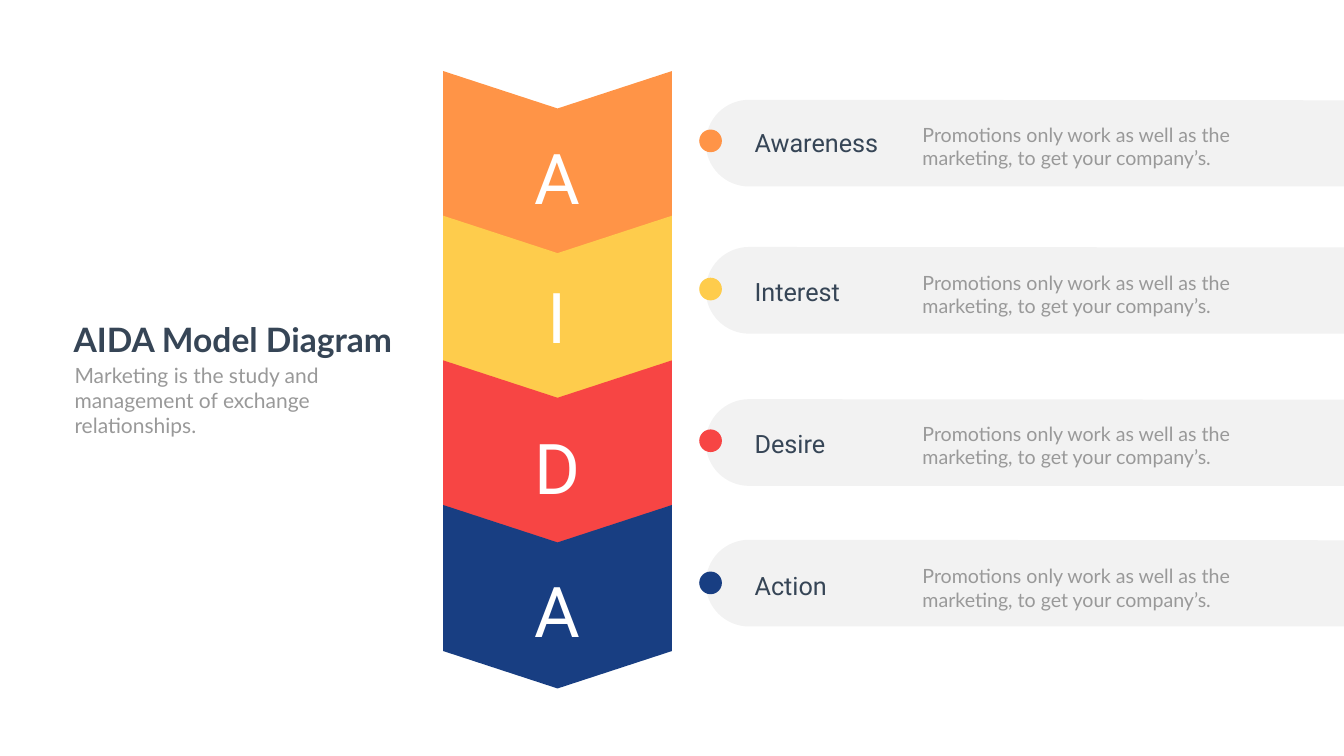
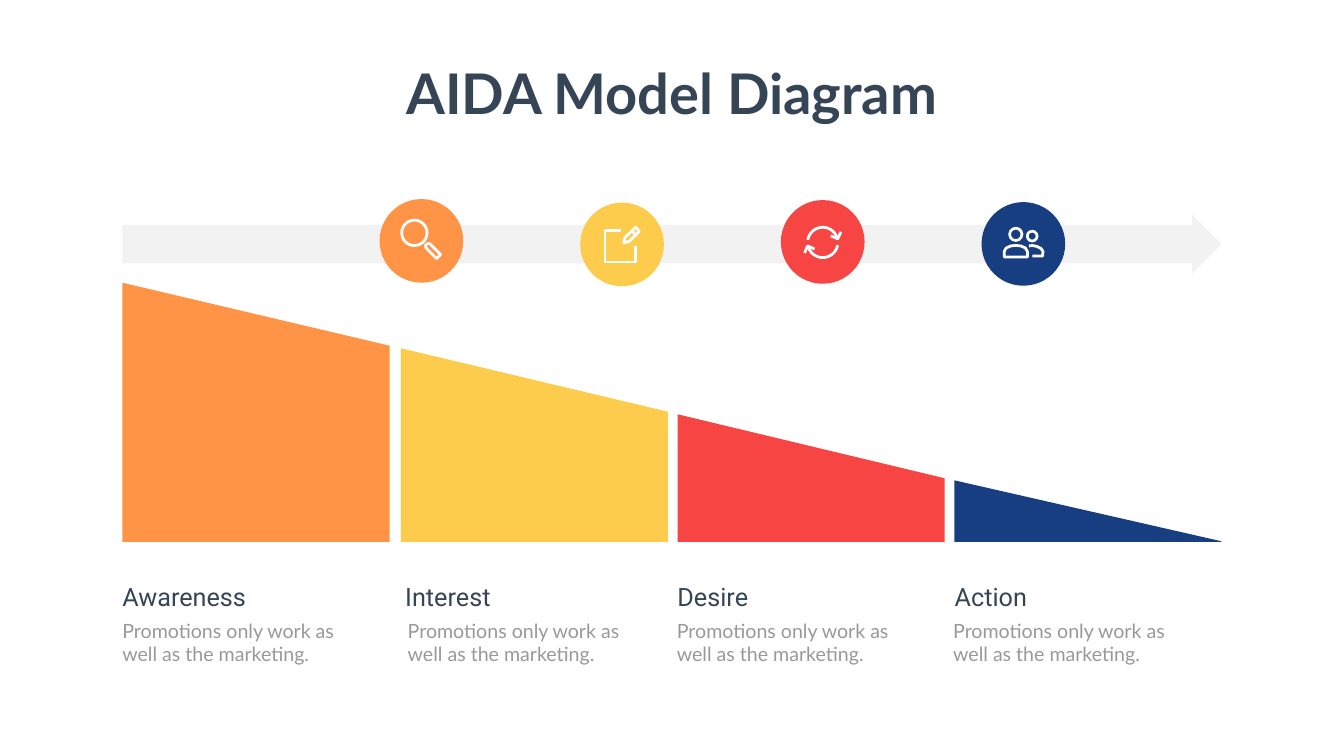
import math

from lxml import etree
from pptx import Presentation
from pptx.dml.color import RGBColor
from pptx.enum.shapes import MSO_SHAPE
from pptx.enum.text import MSO_AUTO_SIZE, PP_ALIGN
from pptx.oxml.ns import qn
from pptx.util import Cm, Pt

CHEVRON = MSO_SHAPE.CHEVRON
DONUT = MSO_SHAPE.DONUT
OVAL = MSO_SHAPE.OVAL
RIGHT_ARROW = MSO_SHAPE.RIGHT_ARROW
LEFT, CENTER = PP_ALIGN.LEFT, PP_ALIGN.CENTER
FIT_SHAPE = MSO_AUTO_SIZE.SHAPE_TO_FIT_TEXT

COLORS = {
    "awareness": "FF9447",
    "interest": "FECC4C",
    "desire": "F74544",
    "action": "183E82",
    "heading": "364556",
    "body": "999999",
    "band": "808080",
    "white": "FFFFFF",
}
STAGES = ["Awareness", "Interest", "Desire", "Action"]
TITLE = "AIDA Model Diagram"
SLIDE_WIDTH, SLIDE_HEIGHT = 26.66, 15
ICON_STROKE = 0.055


def inch(value):
    """Length on the slide's inch grid."""
    return Cm(value * 2.54)


def rgb(name):
    return RGBColor.from_string(COLORS[name])


def paint(shape, color, alpha=None):
    """Flat fill without outline or shadow; alpha is a percentage."""
    shape.shadow.inherit = False
    shape.line.fill.background()
    shape.fill.solid()
    shape.fill.fore_color.rgb = rgb(color)
    if alpha is not None:
        solid = shape._element.spPr.find(qn("a:solidFill"))
        etree.SubElement(solid[0], qn("a:alpha"), val=str(alpha * 1000))


def add_preset(shapes, kind, box, color, adjustments=(), alpha=None):
    shape = shapes.add_shape(kind, *map(inch, box))
    for index, value in enumerate(adjustments):
        shape.adjustments[index] = value
    paint(shape, color, alpha)
    return shape


def add_outline(shapes, points, close=True):
    vertices = [(inch(x), inch(y)) for x, y in points]
    builder = shapes.build_freeform(*vertices[0])
    builder.add_line_segments(vertices[1:], close=close)
    return builder.convert_to_shape()


def add_stroke(shapes, points, close=False):
    """White, unfilled icon line."""
    stroke = add_outline(shapes, points, close)
    stroke.shadow.inherit = False
    stroke.fill.background()
    stroke.line.color.rgb = rgb("white")
    stroke.line.width = inch(ICON_STROKE)


def add_ring(shapes, x, y, size):
    add_preset(shapes, DONUT, (x, y, size, size), "white", [ICON_STROKE / size])


def arc(cx, cy, radius, start, end, steps=32):
    """Points along a circle, angles in degrees clockwise from the right."""
    angles = [math.radians(start + (end - start) * i / steps)
              for i in range(steps + 1)]
    return [(cx + radius * math.cos(a), cy + radius * math.sin(a)) for a in angles]


def add_text(shapes, text, box, size, color, font="Lato", align=LEFT,
             bold=False, wrap=True):
    frame = shapes.add_textbox(*map(inch, box)).text_frame
    frame.word_wrap = wrap
    frame.auto_size = FIT_SHAPE
    paragraph = frame.paragraphs[0]
    paragraph.text = text
    paragraph.alignment = align
    paragraph.font.name = font
    paragraph.font.size = Pt(size)
    paragraph.font.bold = bold
    paragraph.font.color.rgb = rgb(color)


def add_title(shapes, box, size, **options):
    add_text(shapes, TITLE, box, size, "heading", bold=True, **options)


def add_stage_label(shapes, stage, x, y):
    add_text(shapes, stage, (x, y, 3.46, 0.71), 36, "heading", "Roboto")


def add_description(shapes, text, x, y, width):
    add_text(shapes, text, (x, y, width, 1.04), 28, "body")


def add_pill(shapes, top):
    """Band that is round on the left and runs off the right edge."""
    radius = 0.86
    cap = arc(14 + radius, top + radius, radius, 90, 270)
    right = SLIDE_WIDTH
    pill = add_outline(shapes, cap + [(right, top + 0.01), (right, top + 2 * radius)])
    paint(pill, "band", alpha=10)


def draw_magnifier(shapes):
    add_stroke(shapes, [(8.45, 4.92), (8.66, 5.13), (8.74, 5.05), (8.53, 4.84),
                        (8.5, 4.83), (8.47, 4.84), (8.44, 4.87)], close=True)
    add_ring(shapes, 7.94, 4.34, 0.56)


def draw_note(shapes):
    add_stroke(shapes, [(12.61, 4.88), (12.61, 5.2), (12, 5.2),
                        (12, 4.58), (12.31, 4.58)])
    add_stroke(shapes, [(12.61, 4.51), (12.68, 4.59), (12.48, 4.79),
                        (12.37, 4.82), (12.4, 4.71)], close=True)
    add_stroke(shapes, [(12.55, 4.6), (12.59, 4.64)])


def draw_cycle(shapes):
    cx, cy = 16.32, 4.81
    upper = arc(cx, cy, 0.3, 190, 338)
    arrowhead = [(16.48, 4.68), (16.62, 4.74), (16.68, 4.6)]
    for points in (upper, arrowhead):
        add_stroke(shapes, points)
        add_stroke(shapes, [(2 * cx - x, 2 * cy - y) for x, y in points])


def draw_people(shapes):
    add_ring(shapes, 20, 4.5, 0.3)
    add_stroke(shapes, [(19.92, 5.1), (19.92, 4.99), (19.96, 4.92), (20.05, 4.88),
                        (20.15, 4.87), (20.25, 4.88), (20.34, 4.92),
                        (20.38, 4.99), (20.38, 5.1)], close=True)
    add_ring(shapes, 20.35, 4.56, 0.25)
    add_stroke(shapes, [(20.41, 4.88), (20.48, 4.87), (20.57, 4.89), (20.65, 4.93),
                        (20.69, 4.99), (20.68, 5.08), (20.48, 5.08)])


def add_badge(shapes, x, y, color, draw_icon):
    badge = shapes.add_group_shape().shapes
    add_preset(badge, OVAL, (x, y, 1.66, 1.66), color)
    draw_icon(badge)


def build_chevron_slide(slide):
    shapes = slide.shapes
    pill_tops = [1.98, 4.9, 7.92, 10.71]
    description_tops = [2.38, 5.32, 8.32, 11.14]
    label_tops = [2.47, 5.44, 8.44, 11.26]
    dot_tops = [2.57, 5.51, 8.52, 11.34]
    letter_tops = [2.61, 5.38, 8.38, 11.21]

    for top in pill_tops:
        add_pill(shapes, top)
    for i, stage in enumerate(STAGES):
        chevron = add_preset(shapes, CHEVRON, (9.24, 0.96 + 2.87 * i, 3.64, 4.54),
                             stage.lower(), [0.204])
        chevron.rotation = 90
    for i, stage in enumerate(STAGES):
        add_description(
            shapes,
            "Promotions only work as well as the marketing, to get your company’s.",
            18.2, description_tops[i], 6.63)
        add_stage_label(shapes, stage, 14.87, label_tops[i])
        add_preset(shapes, OVAL, (13.87, dot_tops[i], 0.45, 0.45), stage.lower())
        add_text(shapes, stage[0], (10.08, letter_tops[i], 1.95, 1.78), 100,
                 "white", "Roboto", CENTER)

    heading = shapes.add_group_shape().shapes
    add_title(heading, (1.36, 6.28, 7.15, 0.91), 48)
    add_text(heading, "Marketing is the study and management of exchange relationships.",
             (1.38, 7.14, 5.96, 1.62), 30, "body")


def build_funnel_slide(slide):
    shapes = slide.shapes
    base, bar_width = 10.75, 5.3
    bar_lefts = [2.43, 7.95, 13.44, 18.93]
    bar_tops = [(5.61, 6.86), (6.91, 8.17), (8.22, 9.49), (9.53, 10.74)]
    label_lefts = [2.33, 7.94, 13.34, 18.84]
    description_lefts = [2.33, 7.99, 13.33, 18.81]
    badge_tops = [3.95, 4.02, 3.97, 4.01]
    icons = [draw_magnifier, draw_note, draw_cycle, draw_people]

    funnel = shapes.add_group_shape().shapes
    for stage, left, (start, end) in zip(STAGES, bar_lefts, bar_tops):
        right = left + bar_width
        bar = add_outline(funnel, [(left, start), (right, end),
                                   (right, base), (left, base)])
        paint(bar, stage.lower())
    for stage, label_left, text_left in zip(STAGES, label_lefts, description_lefts):
        add_stage_label(shapes, stage, label_left, 11.48)
        add_description(shapes, "Promotions only work as well as the marketing.",
                        text_left, 12.23, 4.87)

    add_preset(shapes, RIGHT_ARROW, (2.43, 4.26, 21.8, 1.17), "band",
               [0.65, 0.5], alpha=10)
    for i, stage in enumerate(STAGES):
        add_badge(shapes, 7.53 + 3.98 * i, badge_tops[i], stage.lower(), icons[i])
    add_title(shapes, (7.86, 1.12, 10.94, 1.45), 80, align=CENTER, wrap=False)


def main():
    deck = Presentation()
    deck.slide_width, deck.slide_height = inch(SLIDE_WIDTH), inch(SLIDE_HEIGHT)
    blank = deck.slide_layouts[6]
    for build in (build_chevron_slide, build_funnel_slide):
        build(deck.slides.add_slide(blank))
    deck.save("out.pptx")


if __name__ == "__main__":
    main()
